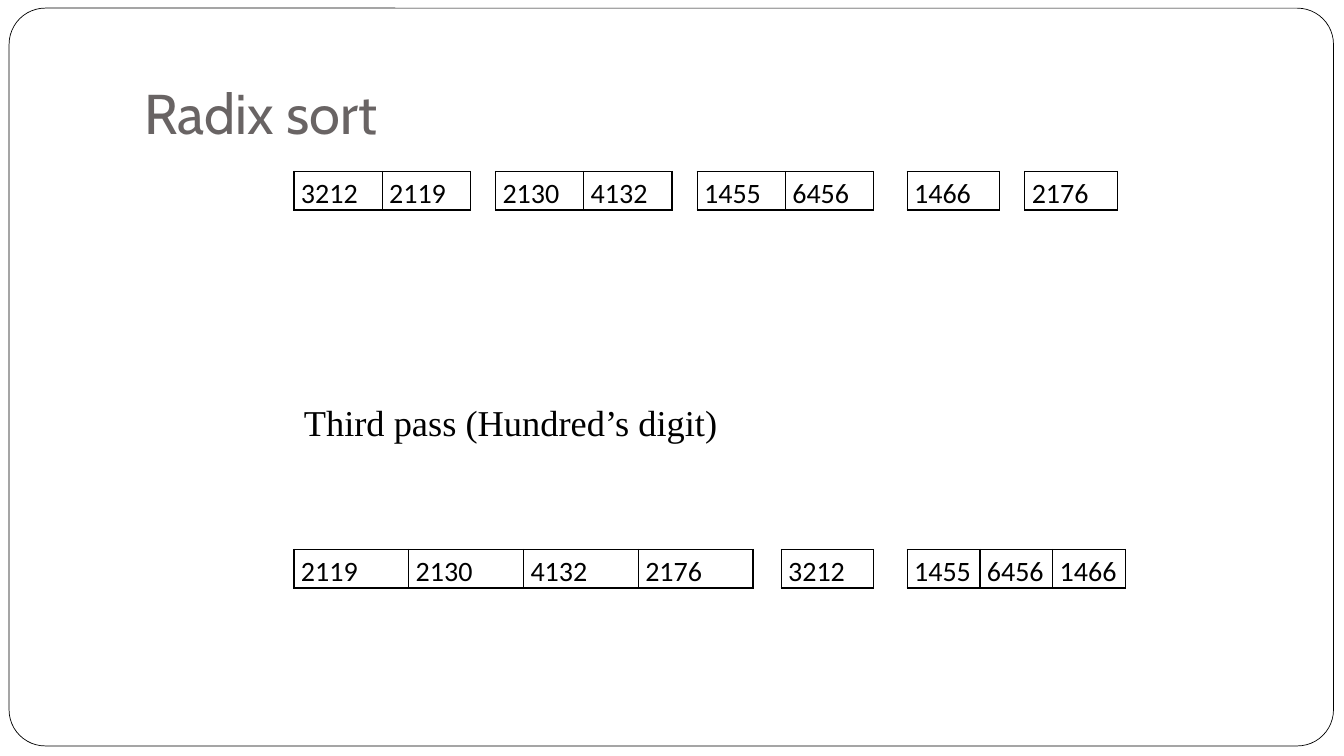
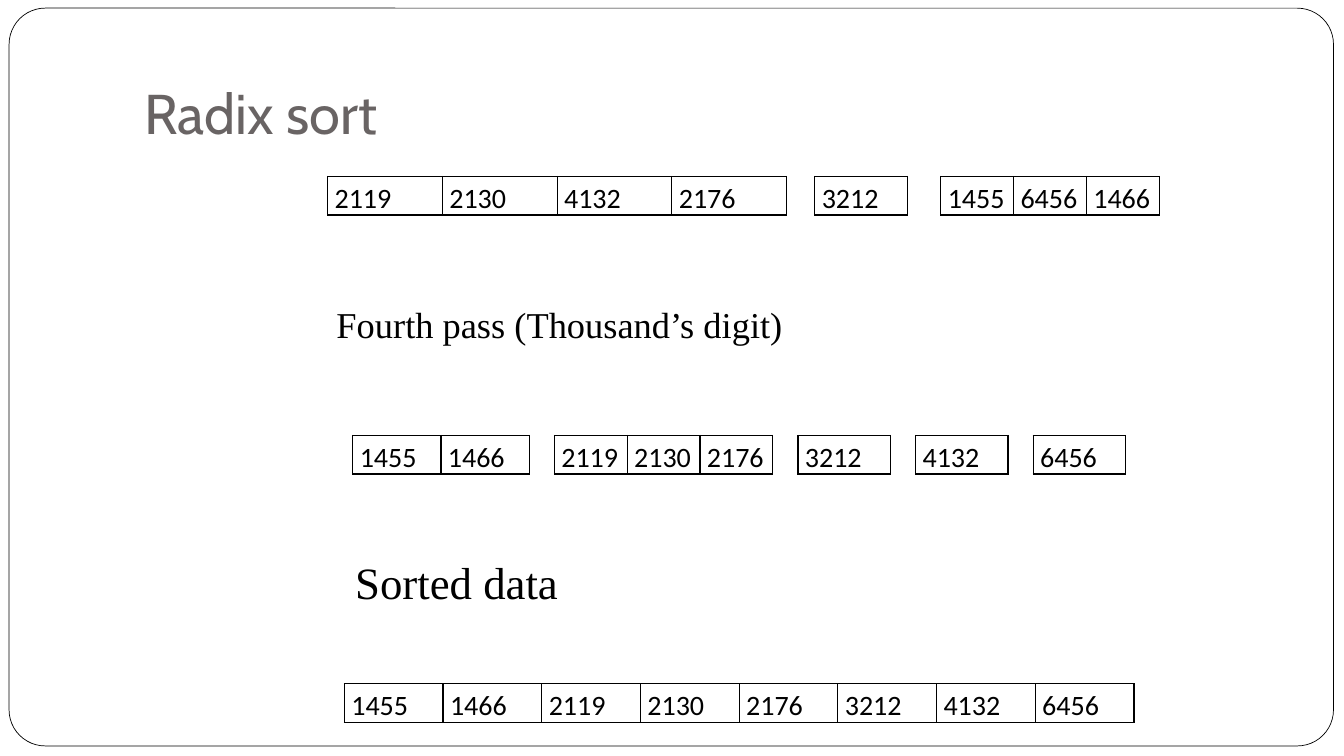
from dataclasses import dataclass

from lxml import etree
from pptx import Presentation
from pptx.dml.color import RGBColor
from pptx.enum.shapes import MSO_SHAPE
from pptx.enum.text import MSO_ANCHOR
from pptx.oxml.ns import qn
from pptx.slide import Slide
from pptx.util import Pt

ROUNDED = MSO_SHAPE.ROUNDED_RECTANGLE
TOP = MSO_ANCHOR.TOP
BOTTOM = MSO_ANCHOR.BOTTOM

BLACK = "000000"
WHITE = "FFFFFF"
TITLE_GREY = "696464"
TITLE_FONT = "Cabin"
CAPTION_FONT = "Times New Roman"
NUMBER_FONT = "Calibri"

ROW_HEIGHT = 27.6
COLUMN_WIDTHS = {1: 66, 2: 63, 3: 52, 4: 82, 8: 70.5}  # by bucket size


@dataclass(frozen=True)
class Label:
    text: str
    left: float
    top: float
    width: float
    height: float
    size: float = 26
    font: str = CAPTION_FONT
    color: str = BLACK
    anchor: MSO_ANCHOR = TOP
    inset_left: float = 7.2
    inset_bottom: float = 3.6


@dataclass(frozen=True)
class Bucket:
    values: tuple[int, ...]
    gap_after: float = 18


@dataclass(frozen=True)
class BucketRow:
    left: float
    top: float
    buckets: tuple[Bucket, ...]


@dataclass(frozen=True)
class Page:
    labels: tuple[Label, ...]
    rows: tuple[BucketRow, ...]


TITLE = Label("Radix sort", 96, 21.6, 816, 90, size=40, font=TITLE_FONT,
              color=TITLE_GREY, anchor=BOTTOM, inset_bottom=7.2)

BY_TENS = (
    Bucket((3212, 2119)),
    Bucket((2130, 4132)),
    Bucket((1455, 6456), gap_after=24),
    Bucket((1466,)),
    Bucket((2176,)),
)
BY_HUNDREDS = (
    Bucket((2119, 2130, 4132, 2176), gap_after=20),
    Bucket((3212,), gap_after=24),
    Bucket((1455, 6456, 1466)),
)
BY_THOUSANDS = (
    Bucket((1455, 1466)),
    Bucket((2119, 2130, 2176)),
    Bucket((3212,)),
    Bucket((4132,)),
    Bucket((6456,)),
)
SORTED = (Bucket((1455, 1466, 2119, 2130, 2176, 3212, 4132, 6456)),)

PAGES = (
    Page(
        labels=(Label("Third pass (Hundred’s digit)", 210, 282, 590, 54),),
        rows=(BucketRow(210, 122.4, BY_TENS), BucketRow(210, 392.4, BY_HUNDREDS)),
    ),
    Page(
        labels=(
            Label("Fourth pass (Thousand’s digit)", 233.3, 212.4, 590, 60),
            Label("Sorted data", 240, 392.4, 600, 48, size=32, inset_left=13.7),
        ),
        rows=(
            BucketRow(234, 126, BY_HUNDREDS),
            BucketRow(252, 311, BY_THOUSANDS),
            BucketRow(246, 488.4, SORTED),
        ),
    ),
)


def rgb(color: str) -> RGBColor:
    return RGBColor.from_string(color)


def style_font(para, name: str, size: float, color: str) -> None:
    para.font.name = name
    para.font.size = Pt(size)
    para.font.color.rgb = rgb(color)


def add_frame(slide: Slide) -> None:
    frame = slide.shapes.add_shape(ROUNDED, Pt(6.5), Pt(5.8), Pt(946), Pt(527))
    frame.adjustments[0] = 0.049
    frame.shadow.inherit = False
    frame.fill.solid()
    frame.fill.fore_color.rgb = rgb(WHITE)
    frame.line.color.rgb = rgb(BLACK)
    frame.line.width = Pt(0.5)


def add_label(slide: Slide, label: Label) -> None:
    box = slide.shapes.add_textbox(
        Pt(label.left), Pt(label.top), Pt(label.width), Pt(label.height))
    text_frame = box.text_frame
    text_frame.word_wrap = True
    text_frame.vertical_anchor = label.anchor
    text_frame.margin_left = Pt(label.inset_left)
    text_frame.margin_bottom = Pt(label.inset_bottom)
    para = text_frame.paragraphs[0]
    para.text = label.text
    style_font(para, label.font, label.size, label.color)


def add_borders(cell) -> None:
    """Draw a thin black line on all four sides of a table cell."""
    properties = cell._tc.get_or_add_tcPr()
    for side in ("lnL", "lnR", "lnT", "lnB"):
        line = etree.SubElement(properties, qn(f"a:{side}"), w=str(Pt(1)))
        fill = etree.SubElement(line, qn("a:solidFill"))
        etree.SubElement(fill, qn("a:srgbClr"), val=BLACK)


def fill_cell(cell, value: int) -> None:
    add_borders(cell)
    cell.fill.background()
    cell.margin_left = cell.margin_right = Pt(5)
    cell.margin_top = cell.margin_bottom = Pt(0)
    para = cell.text_frame.paragraphs[0]
    para.text = str(value)
    para.line_spacing = 1.15
    style_font(para, NUMBER_FONT, 20, BLACK)


def add_bucket(slide: Slide, bucket: Bucket, left: float, top: float) -> float:
    """Draw one bucket as a table and return its right edge."""
    count = len(bucket.values)
    column_width = COLUMN_WIDTHS[count]
    width = count * column_width
    table = slide.shapes.add_table(
        1, count, Pt(left), Pt(top), Pt(width), Pt(ROW_HEIGHT)).table
    table.first_row = False
    table.horz_banding = False
    for column, value in enumerate(bucket.values):
        table.columns[column].width = Pt(column_width)
        fill_cell(table.cell(0, column), value)
    return left + width


def add_bucket_row(slide: Slide, row: BucketRow) -> None:
    left = row.left
    for bucket in row.buckets:
        left = add_bucket(slide, bucket, left, row.top) + bucket.gap_after


def add_page(deck, page: Page) -> None:
    slide = deck.slides.add_slide(deck.slide_layouts[6])
    add_frame(slide)
    for label in (TITLE, *page.labels):
        add_label(slide, label)
    for row in page.rows:
        add_bucket_row(slide, row)


def main() -> None:
    deck = Presentation()
    deck.slide_width = Pt(960)
    deck.slide_height = Pt(540)
    for page in PAGES:
        add_page(deck, page)
    deck.save("out.pptx")


if __name__ == "__main__":
    main()
